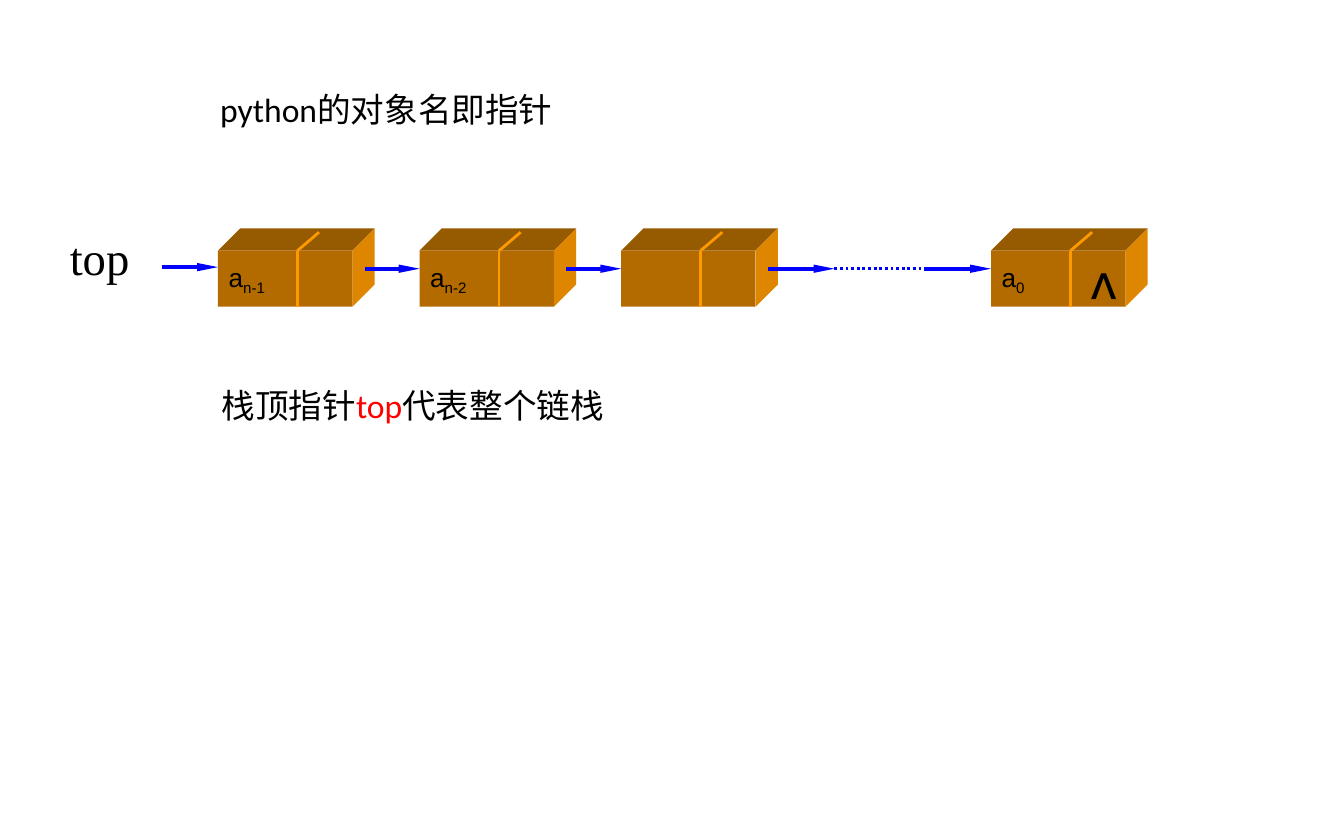
import lxml.etree
import pptx
import pptx.dml.color
import pptx.enum.dml
import pptx.enum.shapes
import pptx.enum.text
import pptx.oxml.ns
import pptx.util

Cm = pptx.util.Cm
Pt = pptx.util.Pt
qn = pptx.oxml.ns.qn

COLORS = {
    "text": "000000",
    "key": "FF0000",
    "pointer": "0000FF",
    "divider": "FF9900",
    "front": "B36B00",
    "top": "965A00",
    "side": "DF8600",
}

# Node geometry, in cm
NODE_TOP, NODE_W, NODE_H, DEPTH = 4.74, 2.54, 1.06, 0.42
FIRST_X, PITCH, LAST_X = 4.12, 3.81, 18.73
LINK_Y = 5.08


def rgb(name):
    return pptx.dml.color.RGBColor.from_string(COLORS[name])


def add_run(p, text, size=18, font="Calibri", color="text", subscript=False):
    r = p.add_run()
    r.text = text
    r.font.size = Pt(size)
    r.font.name = font
    r.font.color.rgb = rgb(color)
    if subscript:
        r.font._element.set("baseline", "-25000")


def set_margins(tf, x, y):
    tf.margin_left = tf.margin_right = Cm(x)
    tf.margin_top = tf.margin_bottom = Cm(y)


def add_label(s, x, y, w, h, runs, margins=(0.25, 0.13), wrap=True):
    """Text box with one paragraph; runs are (text, format) pairs."""
    tf = s.shapes.add_textbox(Cm(x), Cm(y), Cm(w), Cm(h)).text_frame
    tf.word_wrap = wrap
    set_margins(tf, *margins)
    for text, fmt in runs:
        add_run(tf.paragraphs[0], text, **fmt)


def add_line(s, x1, y1, x2, y2, color, width, arrow=False, dash=None):
    c = s.shapes.add_connector(pptx.enum.shapes.MSO_CONNECTOR.STRAIGHT,
                               Cm(x1), Cm(y1), Cm(x2), Cm(y2))
    c.line.color.rgb = rgb(color)
    c.line.width = Pt(width)
    if dash:
        c.line.dash_style = dash
    if arrow:
        lxml.etree.SubElement(c.line._get_or_add_ln(), qn("a:tailEnd"),
                              type="triangle", w="sm", len="lg")
    lxml.etree.SubElement(c._element.spPr, qn("a:effectLst"))


def paint(sp, color):
    sp.shadow.inherit = False
    sp.fill.solid()
    sp.fill.fore_color.rgb = rgb(color)
    sp.line.fill.background()


def add_face(s, points, color):
    pts = [(Cm(x), Cm(y)) for x, y in points]
    fb = s.shapes.build_freeform(*pts[0])
    fb.add_line_segments(pts[1:], close=True)
    paint(fb.convert_to_shape(), color)


def add_node(s, x, index=None):
    """Block with a data half and a link half."""
    right, bottom = x + NODE_W, NODE_TOP + NODE_H
    back_top = NODE_TOP - DEPTH
    add_face(s, [(x, NODE_TOP), (x + DEPTH, back_top),
                 (right + DEPTH, back_top), (right, NODE_TOP)], "top")
    add_face(s, [(right, NODE_TOP), (right + DEPTH, back_top),
                 (right + DEPTH, bottom - DEPTH), (right, bottom)], "side")
    sp = s.shapes.add_shape(pptx.enum.shapes.MSO_SHAPE.RECTANGLE,
                            Cm(x), Cm(NODE_TOP), Cm(NODE_W), Cm(NODE_H))
    paint(sp, "front")
    if index:
        tf = sp.text_frame
        tf.word_wrap = True
        tf.vertical_anchor = pptx.enum.text.MSO_ANCHOR.MIDDLE
        set_margins(tf, 0.2, 0.1)
        p = tf.paragraphs[0]
        p.alignment = pptx.enum.text.PP_ALIGN.LEFT
        add_run(p, "a", size=14, font="Arial")
        add_run(p, index, size=14, font="Arial", subscript=True)
    mid = x + 1.5
    add_line(s, mid, NODE_TOP, mid, bottom, "divider", 1.5)
    add_line(s, mid, NODE_TOP, mid + 0.41, NODE_TOP - 0.35, "divider", 1.5)


def main():
    prs = pptx.Presentation()
    prs.slide_width, prs.slide_height = Cm(25.4), Cm(15.88)
    s = prs.slides.add_slide(prs.slide_layouts[6])

    # Top pointer
    add_label(s, 1.12, 4.22, 1.55, 1.27,
              [("top", {"size": 25, "font": "Times New Roman"})],
              margins=(0.2, 0.1), wrap=False)
    add_line(s, 3.07, 5.05, FIRST_X, 5.05, "pointer", 2.25, arrow=True)

    # Nodes
    nodes = [FIRST_X + i * PITCH for i in range(3)] + [LAST_X]
    for x, index in zip(nodes, ["n-1", "n-2", None, "0"]):
        add_node(s, x, index)

    # Links between nodes, with a dotted gap before the last one
    gap_start, gap_end = 15.77, 17.46
    starts = [x + 2.77 for x in nodes[:3]] + [gap_end]
    ends = nodes[1:3] + [gap_start, LAST_X]
    for x1, x2 in zip(starts, ends):
        add_line(s, x1, LINK_Y, x2, LINK_Y, "pointer", 2.25, arrow=True)
    add_line(s, gap_start, LINK_Y, gap_end, LINK_Y, "pointer", 1.5,
             dash=pptx.enum.dml.MSO_LINE.ROUND_DOT)

    # Null link of the last node
    add_label(s, 20.35, 4.8, 0.97, 1.57,
              [("^", {"size": 32, "font": "Noto Sans CJK SC"})],
              margins=(0.2, 0.1))

    # Remarks
    add_label(s, 3.94, 7.14, 7.8, 1.02,
              [("栈顶指针", {}), ("top", {"color": "key"}), ("代表整个链栈", {})])
    add_label(s, 3.91, 1.55, 6.86, 1.02, [("python的对象名即指针", {})])

    prs.save("out.pptx")


if __name__ == "__main__":
    main()
